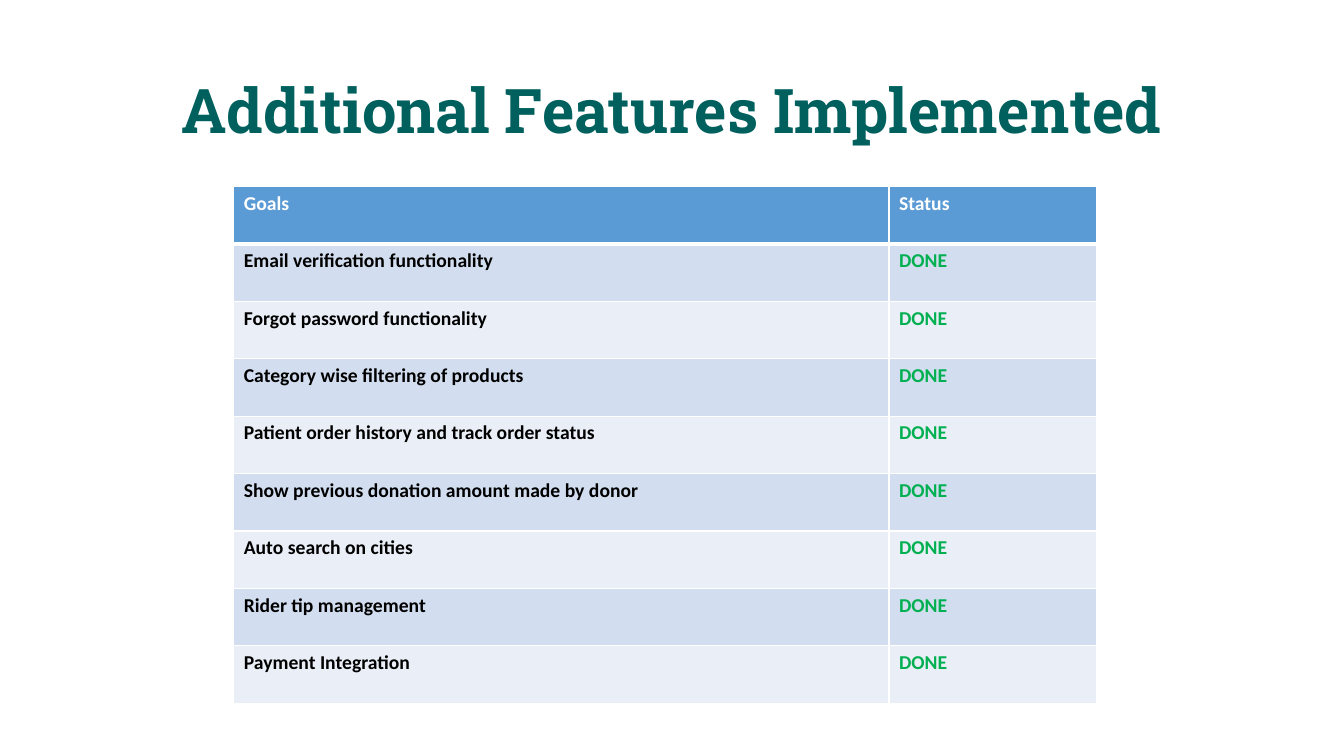
from lxml import etree
from pptx import Presentation
from pptx.dml.color import RGBColor
from pptx.enum import text
from pptx.oxml import ns
from pptx.util import Pt

TITLE = "Additional Features Implemented"
HEADER = ("Goals", "Status")
GOALS = [
    "Email verification functionality",
    "Forgot password functionality",
    "Category wise filtering of products",
    "Patient order history and track order status",
    "Show previous donation amount made by donor",
    "Auto search on cities",
    "Rider tip management",
    "Payment Integration",
]
STATUS = "DONE"

SLIDE_SIZE = (960, 540)
TITLE_BOX = (66, 28.8, 828, 104.4)
TABLE_LEFT, TABLE_TOP = 167, 133.2
COLUMN_WIDTHS = (468, 148.3)
ROW_HEIGHT = 41.04

HEADER_FILL = "5B9BD5"
BAND_FILLS = ("D2DEEF", "EAEFF7")
HEADER_TEXT = ("FFFFFF", "FFFFFF")
BODY_TEXT = ("000000", "00B050")
BORDER = "FFFFFF"
TITLE_FONT = {"name": "Roboto Slab", "size": Pt(44), "bold": True}
TABLE_FONT = {"name": "Calibri", "size": Pt(14), "bold": True}


def color(hex_value):
    return RGBColor.from_string(hex_value)


def write(paragraph, words, font, hex_value):
    run = paragraph.add_run()
    run.text = words
    for name, value in font.items():
        setattr(run.font, name, value)
    run.font.color.rgb = color(hex_value)


def add_borders(cell, widths):
    """Draw cell borders; widths maps a side letter (L, R, T, B) to points."""
    properties = cell._tc.get_or_add_tcPr()
    for side, width in widths.items():
        line = etree.SubElement(properties, ns.qn(f"a:ln{side}"), w=str(Pt(width)))
        fill = etree.SubElement(line, ns.qn("a:solidFill"))
        etree.SubElement(fill, ns.qn("a:srgbClr"), val=BORDER)


def add_title(slide):
    frame = slide.shapes.add_textbox(*map(Pt, TITLE_BOX)).text_frame
    frame.word_wrap = True
    frame.vertical_anchor = text.MSO_ANCHOR.MIDDLE
    paragraph = frame.paragraphs[0]
    paragraph.alignment = text.PP_ALIGN.CENTER
    paragraph.line_spacing = 0.9
    write(paragraph, TITLE, TITLE_FONT, "00605E")


def add_goals_table(slide):
    rows = [HEADER] + [(goal, STATUS) for goal in GOALS]
    box = (TABLE_LEFT, TABLE_TOP, sum(COLUMN_WIDTHS), ROW_HEIGHT * len(rows))
    table = slide.shapes.add_table(len(rows), len(HEADER), *map(Pt, box)).table
    for column, width in zip(table.columns, COLUMN_WIDTHS):
        column.width = Pt(width)
    for index, row in enumerate(rows):
        table.rows[index].height = Pt(ROW_HEIGHT)
        fill = BAND_FILLS[(index - 1) % 2] if index else HEADER_FILL
        text_colors = BODY_TEXT if index else HEADER_TEXT
        borders = {"L": 1, "R": 1, "T": 3 if index == 1 else 1, "B": 1 if index else 3}
        for cell, words, text_color in zip(table.rows[index].cells, row, text_colors):
            add_borders(cell, borders)
            cell.fill.solid()
            cell.fill.fore_color.rgb = color(fill)
            write(cell.text_frame.paragraphs[0], words, TABLE_FONT, text_color)


def main():
    presentation = Presentation()
    presentation.slide_width, presentation.slide_height = map(Pt, SLIDE_SIZE)
    slide = presentation.slides.add_slide(presentation.slide_layouts[6])
    add_goals_table(slide)
    add_title(slide)
    presentation.save("out.pptx")


if __name__ == "__main__":
    main()
